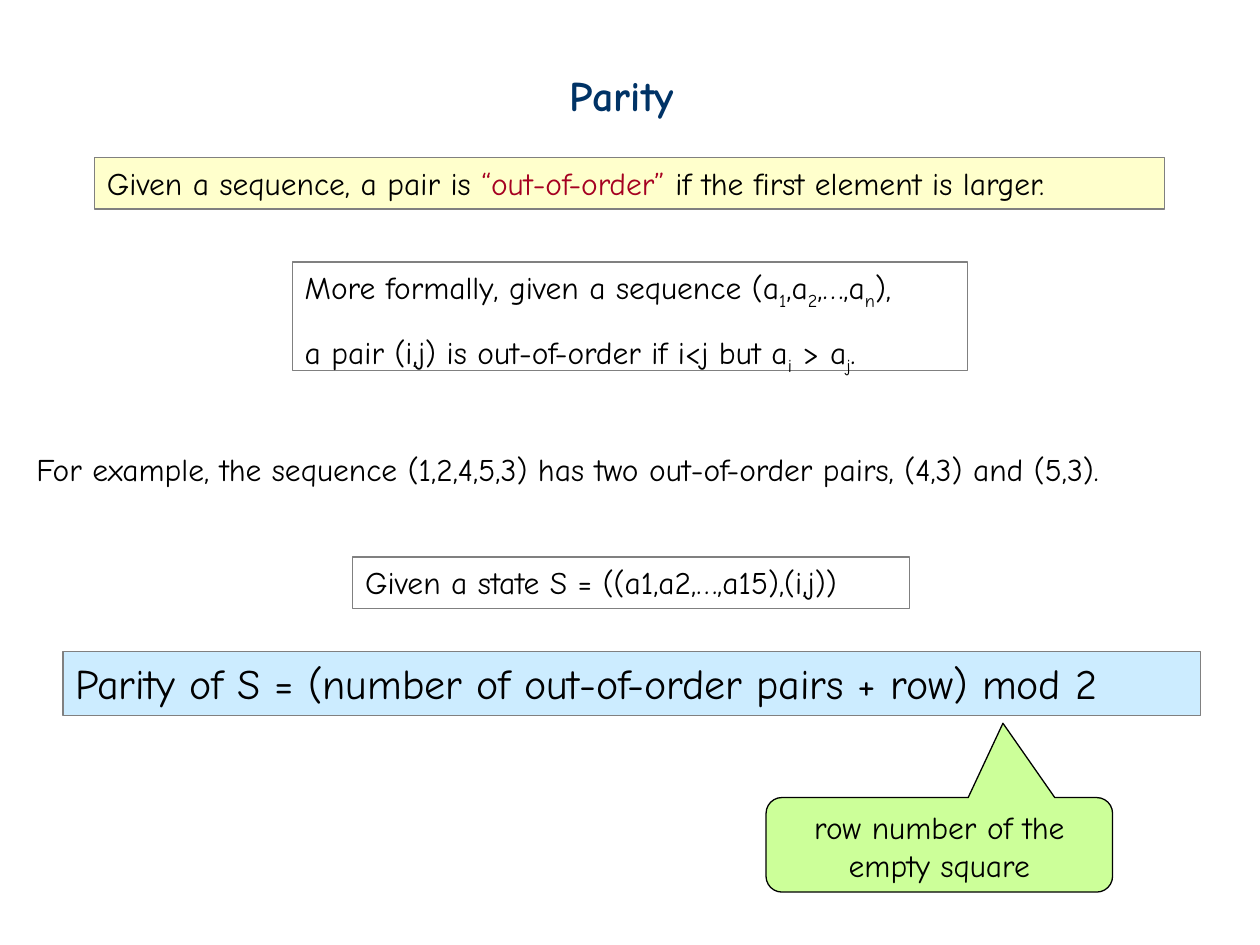
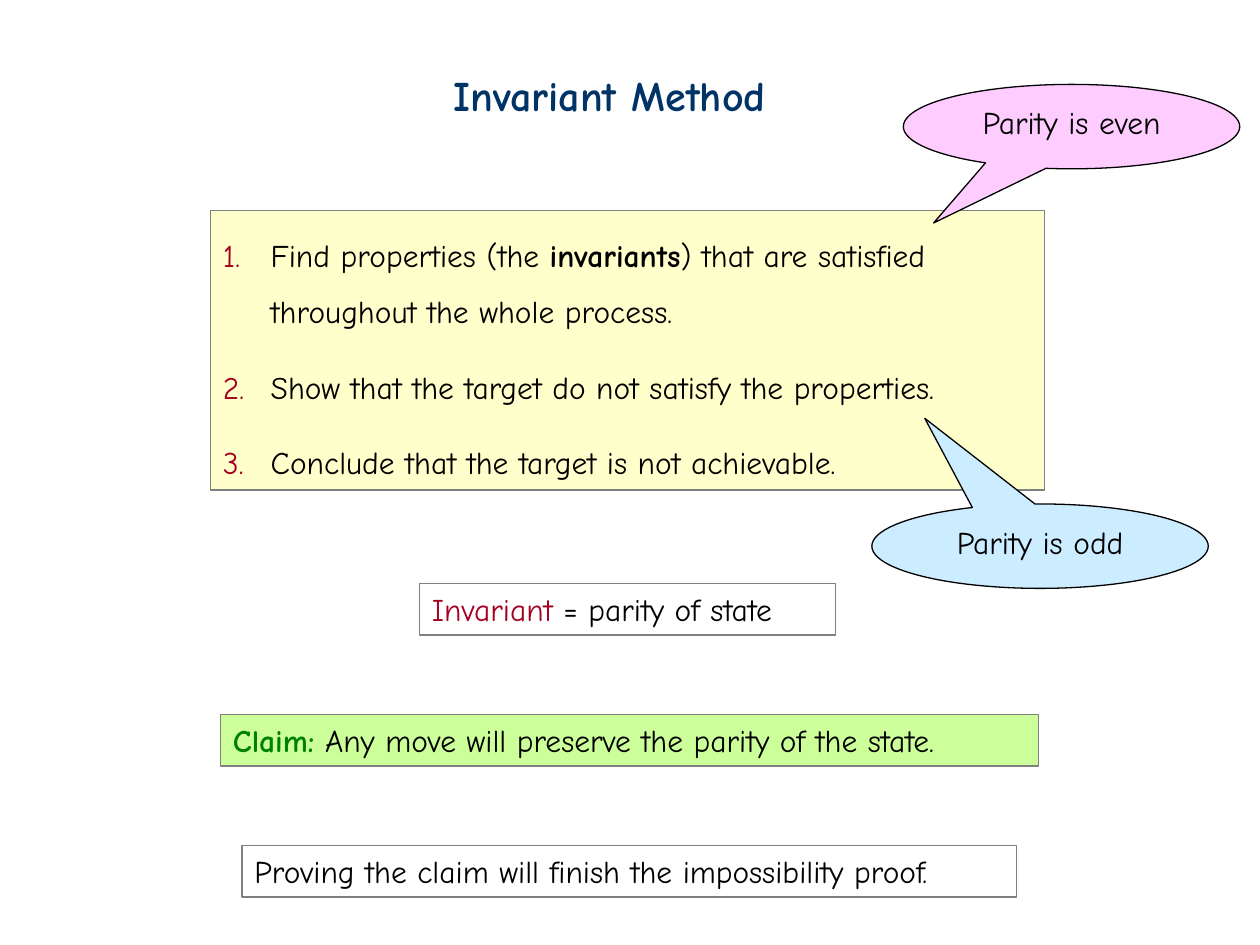
from dataclasses import dataclass

from lxml import etree
from pptx import Presentation
from pptx import util as u
from pptx.dml.color import RGBColor
from pptx.enum import shapes, text
from pptx.oxml import ns

PX = 9144  # EMU per px, 100 px to the inch


@dataclass(frozen=True)
class Theme:
    font: str = "Comic Neue"
    body: int = 18
    large: int = 24
    rule: float = 0.75
    line_gap: float = 21.6  # one body line, in points
    navy: str = "003366"
    black: str = "000000"
    grey: str = "808080"
    white: str = "FFFFFF"
    red: str = "A50021"
    green: str = "008000"
    yellow: str = "FFFFCC"
    blue: str = "CCECFF"
    lime: str = "CCFF99"
    pink: str = "FFCCFF"


THEME = Theme()
KIND = shapes.MSO_SHAPE


def px(*lengths):
    return [u.Emu(length * PX) for length in lengths]


def rgb(colour):
    return RGBColor.from_string(colour)


# Text: a span is a plain string or (string, options)
def add_spans(para, spans, size=THEME.body, colour=THEME.black, bold=False):
    for item in spans:
        words, options = (item, {}) if isinstance(item, str) else item
        span = para.add_run()
        span.text = words
        span.font.name = THEME.font
        span.font.size = u.Pt(size)
        span.font.bold = options.get("bold", bold)
        span.font.color.rgb = rgb(options.get("colour", colour))
        if options.get("sub"):
            span.font._element.set("baseline", "-25000")


def sub(words):
    return words, {"sub": True}


def red(words):
    return words, {"colour": THEME.red}


def write(shape, paras, **style):
    frame = shape.text_frame
    frame.word_wrap = True
    frame.vertical_anchor = text.MSO_ANCHOR.TOP
    for index, spans in enumerate(paras):
        para = frame.paragraphs[0] if index == 0 else frame.add_paragraph()
        para.alignment = text.PP_ALIGN.LEFT
        add_spans(para, spans, **style)
    return frame.paragraphs


def number(para):
    props = para._p.get_or_add_pPr()
    props.set("marL", str(38 * PX))
    props.set("indent", str(-38 * PX))
    colour = etree.SubElement(props, ns.qn("a:buClr"))
    etree.SubElement(colour, ns.qn("a:srgbClr"), val=THEME.red)
    etree.SubElement(props, ns.qn("a:buAutoNum"), type="arabicPeriod")


# Parts shared by the slides
def add_label(page, box, spans, **style):
    label = page.shapes.add_textbox(*px(*box))
    write(label, [spans], **style)


def add_title(page, box, words):
    add_label(page, box, [words], size=THEME.large, colour=THEME.navy, bold=True)


def add_filled(page, kind, box, fill, line):
    shape = page.shapes.add_shape(kind, *px(*box))
    shape.shadow.inherit = False
    if fill:
        shape.fill.solid()
        shape.fill.fore_color.rgb = rgb(fill)
    else:
        shape.fill.background()
    shape.line.color.rgb = rgb(line)
    shape.line.width = u.Pt(THEME.rule)
    return shape


def add_panel(page, box, *paras, fill=None, **style):
    panel = add_filled(page, KIND.RECTANGLE, box, fill, THEME.grey)
    return write(panel, paras, **style)


def add_callout(page, kind, box, words, fill, tip):
    """tip is the pointer's end, in px from the top left of the box."""
    callout = add_filled(page, kind, box, fill, THEME.black)
    for axis in (0, 1):
        callout.adjustments[axis] = tip[axis] / box[axis + 2] - 0.5
    para, = write(callout, [[words]])
    para.alignment = text.PP_ALIGN.CENTER


# Slides
def build_parity(page):
    add_title(page, (442, 50, 116, 50), "Parity")
    add_panel(page, (75, 125, 849, 41),
              ["Given a sequence, a pair is ", red("“out-of-order”"),
               " if the first element is larger."], fill=THEME.yellow)
    add_label(page, (19, 352, 963, 40),
              ["For example, the sequence (1,2,4,5,3) has two "
               "out-of-order pairs, (4,3) and (5,3)."])
    add_panel(page, (280, 442, 442, 41),
              ["Given a state S = ((a1,a2,…,a15),(i,j))"])
    add_panel(page, (50, 517, 903, 51),
              ["Parity of S = (number of out-of-order pairs + row) mod 2"],
              fill=THEME.blue, size=THEME.large)
    add_callout(page, KIND.ROUNDED_RECTANGULAR_CALLOUT, (608, 633, 275, 75),
                "row number of the empty square", THEME.lime, (188, -59))
    definition = add_panel(
        page, (232, 208, 536, 86),
        ["More formally, given a sequence (a", sub("1"), ",a", sub("2"),
         ",…,a", sub("n"), "),"],
        ["a pair (i,j) is out-of-order if i<j but a", sub("i"),
         " > a", sub("j"), "."])
    definition[1].line_spacing = 1.5


def build_invariant(page):
    add_title(page, (350, 50, 302, 50), "Invariant Method")
    steps = add_panel(
        page, (167, 167, 662, 222),
        ["Find properties (the ", ("invariants", {"bold": True}),
         ") that are satisfied throughout the whole process."],
        ["Show that the target do not satisfy the properties."],
        ["Conclude that the target is not achievable."], fill=THEME.yellow)
    steps[0].line_spacing = 1.5
    for step in steps[1:]:
        step.space_before = u.Pt(THEME.line_gap)
    for step in steps:
        number(step)

    # Statements below the list
    add_panel(page, (333, 463, 330, 41),
              [red("Invariant"), " = parity of state"])
    add_panel(page, (175, 567, 649, 41),
              [("Claim:", {"colour": THEME.green, "bold": True}),
               " Any move will preserve the parity of the state."],
              fill=THEME.lime)
    add_panel(page, (192, 671, 615, 41),
              ["Proving the claim will finish the impossibility proof."],
              fill=THEME.white)

    # Remarks on the steps
    for left, top, words, fill, tip in (
            (717, 67, "Parity is even", THEME.pink, (24, 110)),
            (692, 400, "Parity is odd", THEME.blue, (42, -68))):
        add_callout(page, KIND.OVAL_CALLOUT, (left, top, 267, 67),
                    words, fill, tip)


def main():
    deck = Presentation()
    deck.slide_width, deck.slide_height = px(1000, 750)
    for build in (build_parity, build_invariant):
        build(deck.slides.add_slide(deck.slide_layouts[6]))
    deck.save("out.pptx")


if __name__ == "__main__":
    main()
